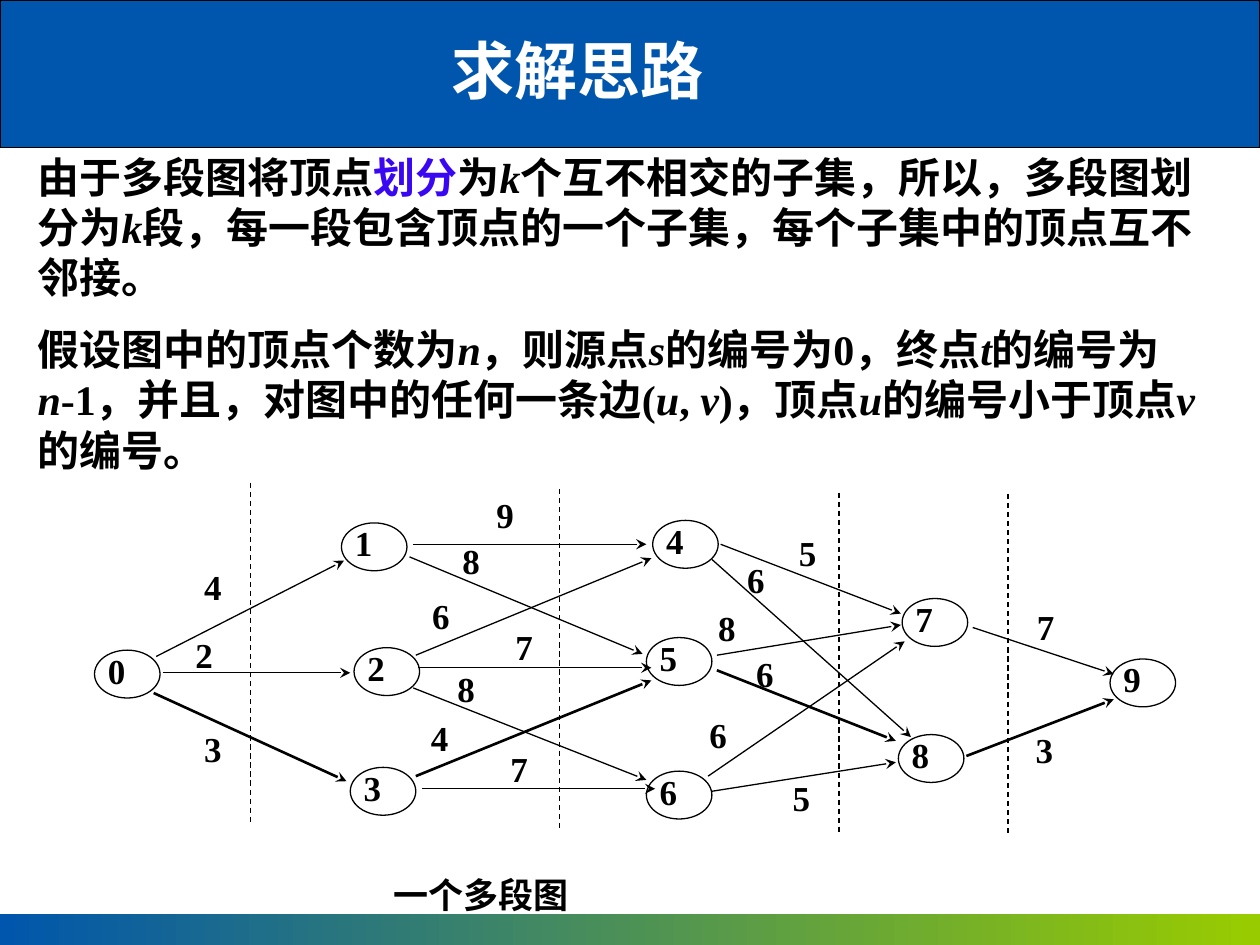
from lxml import etree
from pptx import Presentation
from pptx import util as u
from pptx.dml.color import RGBColor
from pptx.enum import dml, shapes, text
from pptx.oxml.ns import qn

PX = 9144  # 100 px to the inch
BLACK = RGBColor(0x00, 0x00, 0x00)
WHITE = RGBColor(0xFF, 0xFF, 0xFF)
BLUE = RGBColor(0x00, 0x56, 0xAC)
GREEN = RGBColor(0x99, 0xCC, 0x00)
VIOLET = RGBColor(0x39, 0x07, 0xF1)
SERIF, SANS = "Times New Roman", "Noto Sans CJK SC"
THIN, THICK = 0.75, 1.5

# Left and top of each vertex, listed by its number
VERTEX_W, VERTEX_H = 52, 38
VERTICES = [(75, 516), (271, 415), (281, 514), (278, 609), (518, 413),
            (513, 506), (513, 612), (716, 475), (713, 583), (881, 523)]

# Start, end, weight, left and top of the weight, line width
EDGES = [
    ((124, 521), (273, 445), 4, (162, 455), THIN),
    ((129, 534), (278, 534), 2, (155, 509), THIN),
    ((122, 550), (275, 620), 3, (162, 584), THICK),
    ((328, 432), (513, 432), 9, (394, 398), THIN),
    ((325, 442), (510, 519), 8, (367, 435), THIN),
    ((330, 520), (517, 443), 6, (343, 478), THIN),
    ((332, 530), (517, 530), 7, (409, 503), THIN),
    ((328, 546), (513, 619), 8, (363, 536), THIN),
    ((330, 616), (517, 540), 4, (342, 575), THICK),
    ((335, 626), (520, 626), 7, (405, 600), THIN),
    ((572, 432), (715, 487), 5, (634, 428), THIN),
    ((565, 444), (723, 585), 6, (593, 450), THIN),
    ((569, 520), (715, 496), 8, (570, 488), THIN),
    ((569, 532), (711, 588), 6, (600, 524), THICK),
    ((562, 616), (718, 509), 6, (563, 573), THIN),
    ((565, 628), (711, 605), 5, (629, 623), THIN),
    ((772, 498), (884, 535), 7, (823, 487), THIN),
    ((767, 600), (884, 555), 3, (822, 585), THICK),
]

# Left and top of the stage dividers
DIVIDER_H = 272
DIVIDERS = [(199, 383), (444, 388), (666, 391), (800, 392)]

# Asterisks enclose variables (Latin) and the key term (Chinese)
PARAGRAPHS = [
    "由于多段图将顶点*划分*为*k*个互不相交的子集，所以，多段图划分为*k*段，"
    "每一段包含顶点的一个子集，每个子集中的顶点互不邻接。",
    "假设图中的顶点个数为*n*，则源点*s*的编号为0，终点*t*的编号为*n*-1，并且，"
    "对图中的任何一条边(*u*, *v*)，顶点*u*的编号小于顶点*v*的编号。",
]


def px(*lengths):
    return [length * PX for length in lengths]


def style_run(run, size, color=BLACK, latin=SERIF):
    run.font.size = u.Pt(size)
    run.font.bold = True
    run.font.name = latin
    run.font.color.rgb = color
    east_asian = etree.SubElement(run.font._element, qn("a:ea"))
    east_asian.set("typeface", SANS)


def set_margins(frame, left=0):
    frame.margin_left = left * PX
    frame.margin_top = frame.margin_right = frame.margin_bottom = 0


def write_label(frame, label, left=0):
    set_margins(frame, left)
    frame.word_wrap = True
    frame.vertical_anchor = text.MSO_ANCHOR.TOP
    frame.text = str(label)
    line = frame.paragraphs[0]
    line.alignment = text.PP_ALIGN.JUSTIFY
    line.line_spacing = 0.8
    style_run(line.runs[0], 20)


def add_label(slide, label, left, top, width=29, height=25):
    box = slide.shapes.add_textbox(*px(left, top, width, height))
    write_label(box.text_frame, label)


def add_bar(slide, top, height):
    bar = slide.shapes.add_shape(shapes.MSO_SHAPE.RECTANGLE, *px(0, top, 1000, height))
    bar.shadow.inherit = False
    return bar


def add_vertex(slide, number, left, top):
    vertex = slide.shapes.add_shape(shapes.MSO_SHAPE.OVAL,
                                    *px(left, top, VERTEX_W, VERTEX_H))
    vertex.shadow.inherit = False
    vertex.fill.background()
    vertex.line.color.rgb = BLACK
    vertex.line.width = u.Pt(THIN)
    write_label(vertex.text_frame, number, left=3)


def add_line(slide, start, end, width=THIN):
    line = slide.shapes.add_connector(shapes.MSO_CONNECTOR.STRAIGHT, *px(*start, *end))
    line.line.color.rgb = BLACK
    line.line.width = u.Pt(width)
    etree.SubElement(line._element.spPr, qn("a:effectLst"))
    return line


def add_edge(slide, start, end, width):
    edge = add_line(slide, start, end, width)
    head = etree.SubElement(edge.line._get_or_add_ln(), qn("a:tailEnd"))
    head.set("type", "stealth")


def add_title(slide):
    box = slide.shapes.add_textbox(*px(281, 27, 355, 64))
    box.text_frame.word_wrap = True
    box.text_frame.text = "求解思路"
    title = box.text_frame.paragraphs[0]
    title.alignment = text.PP_ALIGN.CENTER
    title.line_spacing = 0.9
    style_run(title.runs[0], 36, WHITE, SANS)


def add_explanation(slide):
    frame = slide.shapes.add_textbox(*px(20, 115, 961, 273)).text_frame
    frame.word_wrap = True
    for index, content in enumerate(PARAGRAPHS):
        paragraph = frame.add_paragraph() if index else frame.paragraphs[0]
        if index:
            paragraph.space_before = u.Pt(12)
        for part, words in enumerate(content.split("*")):
            marked = part % 2 == 1
            run = paragraph.add_run()
            run.text = words
            style_run(run, 24, VIOLET if marked and not words.isascii() else BLACK)
            run.font.italic = marked and words.isascii()


def main():
    deck = Presentation()
    deck.slide_width, deck.slide_height = px(1000, 750)
    slide = deck.slides.add_slide(deck.slide_layouts[6])

    # Header and footer bars
    header = add_bar(slide, 0, 117)
    header.fill.solid()
    header.fill.fore_color.rgb = BLUE
    header.line.color.rgb = BLACK
    header.line.width = u.Pt(THIN)
    footer = add_bar(slide, 725, 25)
    footer.fill.gradient()
    footer.fill.gradient_angle = 0
    for stop, color in zip(footer.fill.gradient_stops, (BLUE, GREEN)):
        stop.color.rgb = color
    footer.line.fill.background()

    # Multistage graph
    for number, place in enumerate(VERTICES):
        add_vertex(slide, number, *place)
    for start, end, weight, place, width in EDGES:
        add_edge(slide, start, end, width)
        add_label(slide, weight, *place)
    for left, top in DIVIDERS:
        divider = add_line(slide, (left, top), (left, top + DIVIDER_H))
        divider.line.dash_style = dml.MSO_LINE.DASH
    add_label(slide, "一个多段图", 312, 700, 397, 29)

    # Title and explanation
    add_explanation(slide)
    add_title(slide)
    deck.save("out.pptx")


if __name__ == "__main__":
    main()
